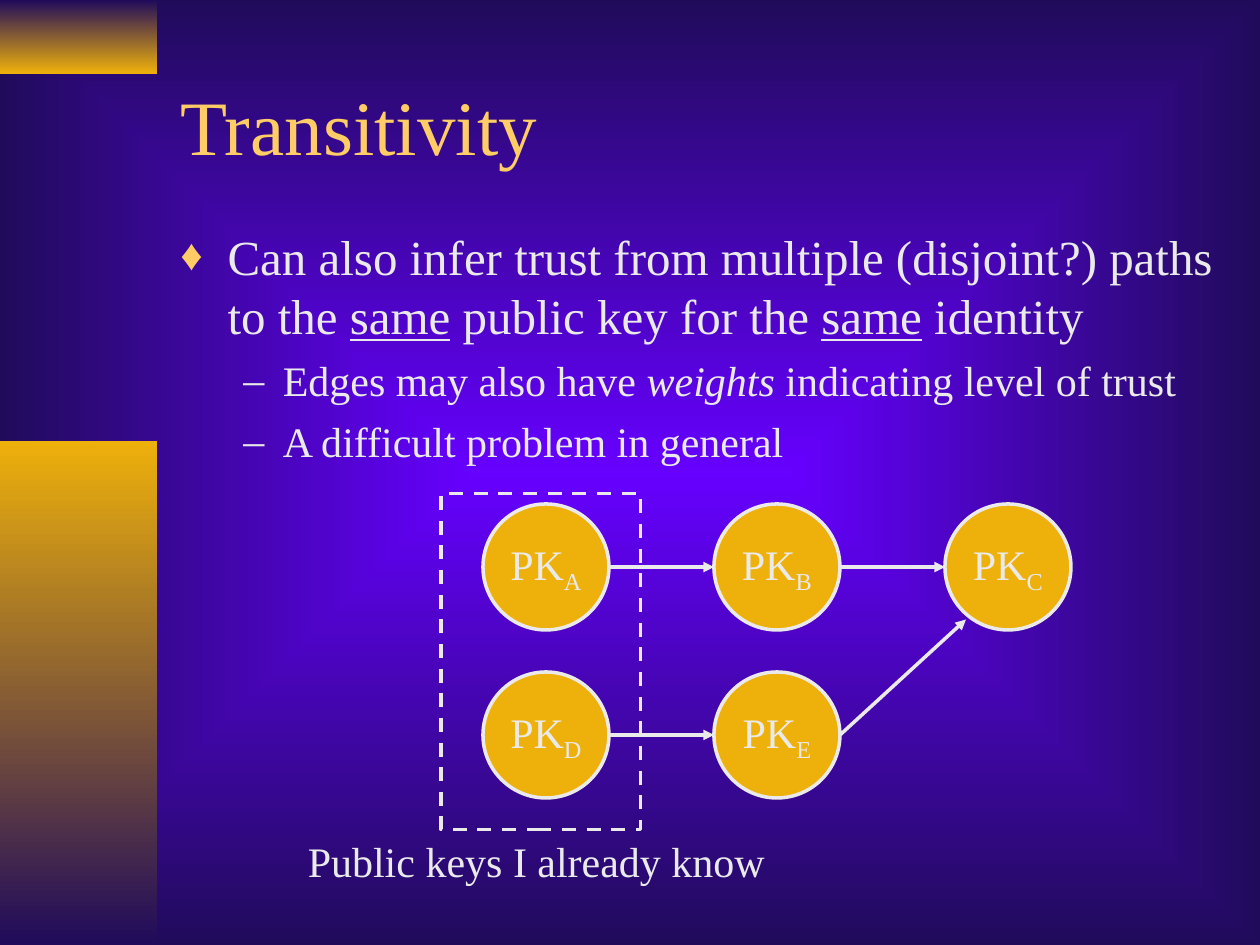
from lxml.etree import SubElement
from pptx import Presentation
from pptx.dml.color import RGBColor
from pptx.enum.dml import MSO_LINE
from pptx.enum.shapes import MSO_CONNECTOR, MSO_SHAPE
from pptx.enum.text import MSO_ANCHOR, PP_ALIGN
from pptx.oxml.ns import qn
from pptx.util import Pt

NAVY, VIOLET, GOLD, YELLOW, PALE = "200B5B", "6600FF", "EEB00B", "FFCC66", "EAEAEA"
color = RGBColor.from_string


def add_span(para, text, size, hue=PALE, **formats):
    span = para.add_run()
    span.text = text
    span.font.color.rgb = color(hue)
    for name, value in {"name": "Times New Roman", "size": Pt(size), **formats}.items():
        setattr(span.font, name, value)
    return span


def set_gradient(fill, first, last):
    """Fill from the first colour at the top to the last at the bottom."""
    fill.gradient()
    fill.gradient_angle = 270
    for stop, hue, position in zip(fill.gradient_stops, (first, last), (0, 1)):
        stop.color.rgb = color(hue)
        stop.position = position


deck = Presentation()
deck.slide_width, deck.slide_height = Pt(720), Pt(540)
page = deck.slides.add_slide(deck.slide_layouts[5])

# Background: rectangular gradient around the centre
set_gradient(page.background.fill, VIOLET, NAVY)
gradient = next(page._element.iter(qn("a:gradFill")))
gradient.remove(gradient.find(qn("a:lin")))
center = SubElement(gradient, qn("a:path"), {"path": "rect"})
SubElement(center, qn("a:fillToRect"), dict.fromkeys("ltrb", "50000"))

# Side bars
for top, height, first, last in ((0, 42, NAVY, GOLD), (252, 288, GOLD, NAVY)):
    bar = page.shapes.add_shape(MSO_SHAPE.RECTANGLE, 0, Pt(top), Pt(90), Pt(height))
    bar.shadow.inherit = False
    bar.line.fill.background()
    set_gradient(bar.fill, first, last)

# Title
title = page.shapes.title
frame = {"left": 96, "top": 24, "width": 612, "height": 95}
for name, value in frame.items():
    setattr(title, name, Pt(value))
title.text_frame.vertical_anchor = MSO_ANCHOR.MIDDLE
title.text_frame.paragraphs[0].alignment = PP_ALIGN.LEFT
add_span(title.text_frame.paragraphs[0], "Transitivity", 44, YELLOW)

# Bulleted text: level, then spans with their format
bullets = [
    (0, [("Can also infer trust from multiple (disjoint?) paths to the ", {}),
         ("same", {"underline": True}),
         (" public key for the ", {}),
         ("same", {"underline": True}),
         (" identity", {})]),
    (1, [("Edges may also have ", {}),
         ("weights", {"italic": True}),
         (" indicating level of trust", {})]),
    (1, [("A difficult problem in general", {})]),
]
# Per level: text size, space before, left margin, indent, bullet, its colour and size
levels = [(28, 14, 27, -27, "♦", YELLOW, 90), (24, 6, 58.5, -22.5, "–", PALE, 100)]
body = page.shapes.add_textbox(Pt(96), Pt(126), Pt(612), Pt(354)).text_frame
body.word_wrap = True
for index, (level, spans) in enumerate(bullets):
    size, before, margin, indent, mark, hue, scale = levels[level]
    para = body.add_paragraph() if index else body.paragraphs[0]
    para.level = level
    para.space_before = Pt(before)
    properties = para._p.get_or_add_pPr()
    properties.set("marL", str(Pt(margin)))
    properties.set("indent", str(Pt(indent)))
    SubElement(SubElement(properties, qn("a:buClr")), qn("a:srgbClr"), val=hue)
    SubElement(properties, qn("a:buSzPct"), val=str(scale * 1000))
    SubElement(properties, qn("a:buFont"), typeface="Times New Roman")
    SubElement(properties, qn("a:buChar"), char=mark)
    for text, formats in spans:
        add_span(para, text, size, **formats)

# Keys on a grid of columns and rows
LEFT, TOP, COLUMN, ROW, SIZE = 276, 288, 132, 96, 72
for letter, column, row in (("A", 0, 0), ("B", 1, 0), ("C", 2, 0), ("D", 0, 1), ("E", 1, 1)):
    key = page.shapes.add_shape(MSO_SHAPE.OVAL, Pt(LEFT + column * COLUMN),
                                Pt(TOP + row * ROW), Pt(SIZE), Pt(SIZE))
    key.shadow.inherit = False
    key.fill.solid()
    key.fill.fore_color.rgb = color(GOLD)
    key.line.color.rgb = color(PALE)
    key.line.width = Pt(2)
    key.text_frame.word_wrap = False
    key.text_frame.vertical_anchor = MSO_ANCHOR.MIDDLE
    para = key.text_frame.paragraphs[0]
    para.alignment = PP_ALIGN.CENTER
    add_span(para, "PK", 24)
    add_span(para, letter, 24)._r.get_or_add_rPr().set("baseline", "-25000")

# Arrows between the keys
upper, lower = TOP + SIZE / 2, TOP + ROW + SIZE / 2
after_first, after_second = LEFT + SIZE, LEFT + COLUMN + SIZE
arrows = [
    (after_first, upper, LEFT + COLUMN, upper),
    (after_second, upper, LEFT + 2 * COLUMN, upper),
    (after_first, lower, LEFT + COLUMN, lower),
    (after_second, lower, 552, 354),
]
for ends in arrows:
    arrow = page.shapes.add_connector(MSO_CONNECTOR.STRAIGHT, *map(Pt, ends))
    arrow.line.color.rgb = color(PALE)
    arrow.line.width = Pt(2)
    SubElement(arrow.line._get_or_add_ln(), qn("a:tailEnd"), type="triangle")
    SubElement(arrow._element.spPr, qn("a:effectLst"))

# Dashed frame around the known keys, with its caption
known = page.shapes.add_shape(MSO_SHAPE.RECTANGLE, Pt(252), Pt(282), Pt(114), Pt(192))
known.shadow.inherit = False
known.fill.background()
known.line.color.rgb = color(PALE)
known.line.width = Pt(2)
known.line.dash_style = MSO_LINE.DASH

caption = page.shapes.add_textbox(Pt(168.5), Pt(474), Pt(276), Pt(36)).text_frame
caption.word_wrap = False
caption.paragraphs[0].alignment = PP_ALIGN.CENTER
add_span(caption.paragraphs[0], "Public keys I already know", 24)

deck.save("out.pptx")
